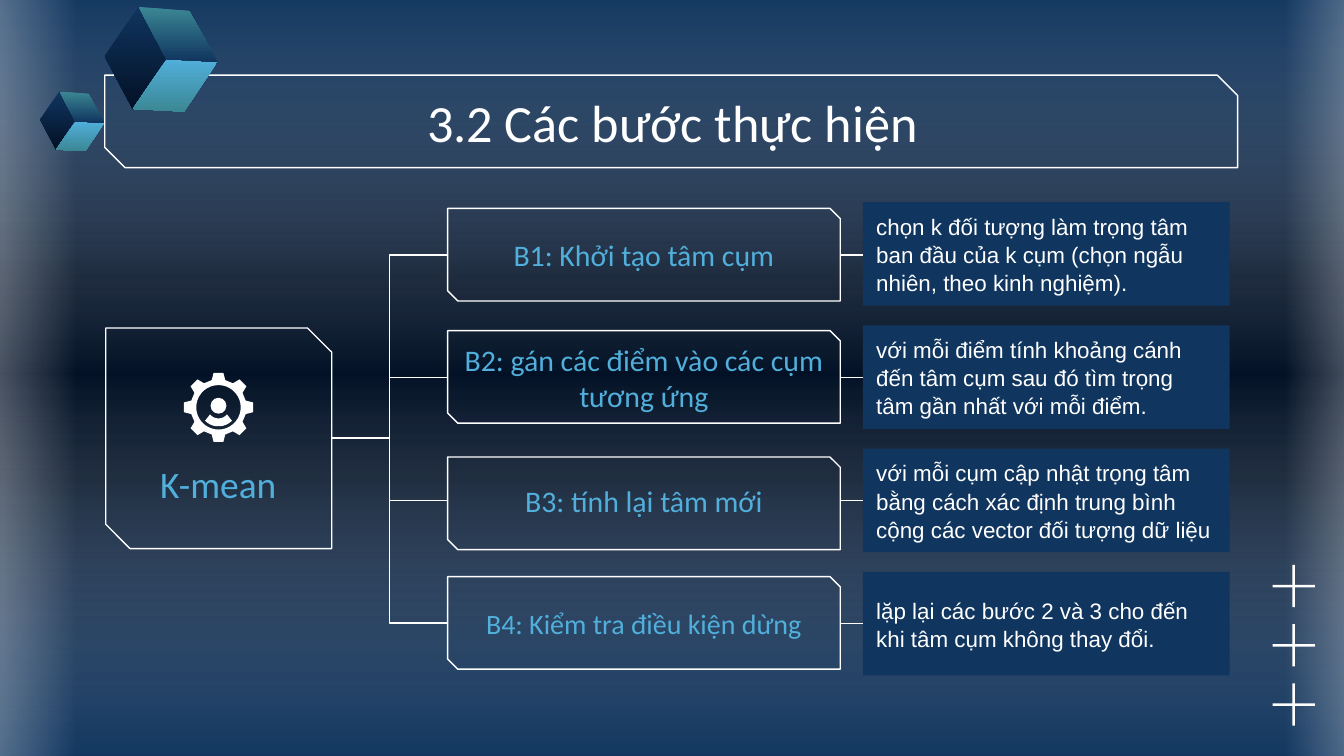
from math import cos, radians, sin

from lxml import etree
from pptx import Presentation
from pptx.dml.color import RGBColor
from pptx.enum.shapes import MSO_CONNECTOR, MSO_SHAPE
from pptx.enum.text import MSO_ANCHOR, MSO_AUTO_SIZE, PP_ALIGN
from pptx.oxml import parse_xml
from pptx.oxml.ns import nsdecls, qn
from pptx.util import Cm, Pt

NAVY, NIGHT, SKY, TEAL, WHITE = "10355F", "031126", "51AFDB", "3B8794", "FFFFFF"


def paint(fill, tint):
    fill.solid()
    fill.fore_color.rgb = RGBColor.from_string(tint)


def fade(fill, root, angle, stops):
    """Give root a linear gradient; stops are (position %, colour, opacity %)."""
    paint(fill, WHITE)
    marks = "".join(
        f'<a:gs pos="{pos * 1000}"><a:srgbClr val="{tint}">'
        f'<a:alpha val="{alpha * 1000}"/></a:srgbClr></a:gs>'
        for pos, tint, alpha in stops)
    old = next(root.iter(qn("a:solidFill")))
    old.getparent().replace(old, parse_xml(
        f'<a:gradFill {nsdecls("a")} rotWithShape="1"><a:gsLst>{marks}</a:gsLst>'
        f'<a:lin ang="{angle * 60000}" scaled="0"/></a:gradFill>'))


prs = Presentation()
prs.slide_width, prs.slide_height = Cm(25.4), Cm(14.29)
slide = prs.slides.add_slide(prs.slide_layouts[5])
shapes = slide.shapes
title = shapes.title

# Background and its soft edges
fade(slide.background.fill, slide._element, 90,
     [(0, NAVY, 100), (37, NIGHT, 100), (63, NIGHT, 100), (100, NAVY, 100)])
veil = [(0, NAVY, 59), (50, WHITE, 0), (100, NAVY, 59)]
glow = [(0, WHITE, 47), (100, WHITE, 0)]
for left, top, width, height, angle, stops in [
        (0, -0.33, 25.93, 14.76, 90, veil),
        (-1.04, -0.23, 2.49, 14.73, 0, glow),
        (24.28, -0.33, 2.16, 14.73, 180, glow)]:
    band = shapes.add_shape(MSO_SHAPE.RECTANGLE, Cm(left), Cm(top), Cm(width), Cm(height))
    band.shadow.inherit = False
    band.line.fill.background()
    fade(band.fill, band._element, angle, stops)

# Frames with two cut corners
steps = [
    ("B1: Khởi tạo tâm cụm", 16, 3.94,
     "chọn k đối tượng làm trọng tâm ban đầu của k cụm (chọn ngẫu nhiên, theo kinh nghiệm)."),
    ("B2: gán các điểm vào các cụm tương ứng", 16, 6.25,
     "với mỗi điểm tính khoảng cánh đến tâm cụm sau đó tìm trọng tâm gần nhất với mỗi điểm."),
    ("B3: tính lại tâm mới", 16, 8.64,
     "với mỗi cụm cập nhật trọng tâm bằng cách xác định trung bình cộng các vector đối tượng dữ liệu"),
    ("B4: Kiểm tra điều kiện dừng", 15, 10.9,
     "lặp lại các bước 2 và 3 cho đến khi tâm cụm không thay đổi."),
]
frames = [(8.46, top, 7.42, 1.75, 0.11) for _, _, top, _ in steps]
frames += [(2, 6.2, 4.27, 4.17, 0.11), (1.98, 1.42, 21.41, 1.75, 0.22)]
for left, top, width, height, cut in frames:
    frame = shapes.add_shape(MSO_SHAPE.SNIP_2_DIAG_RECTANGLE,
                             Cm(left), Cm(top), Cm(width), Cm(height))
    frame.adjustments[0], frame.adjustments[1] = 0, cut
    frame.shadow.inherit = False
    frame.fill.background()
    paint(frame.line.fill, WHITE)
    frame.line.width = Pt(0.75)

# Texts: title, root, then label, detail and lines of each step
shapes._spTree.append(title._element)
title.left, title.top, title.width, title.height = Cm(2), Cm(1.5), Cm(21.41), Cm(1.6)
root = shapes.add_textbox(Cm(2.18), Cm(8.48), Cm(3.89), Cm(1.32))
center, start = PP_ALIGN.CENTER, PP_ALIGN.LEFT
texts = [(title, "3.2 Các bước thực hiện", 28, "Calibri", WHITE, center, 1),
         (root, "K-mean", 20, "Calibri", SKY, center, 1)]
for row, (name, size, _, note) in enumerate(steps):
    label = shapes.add_textbox(Cm(8.46), Cm(4.04 + 2.32 * row), Cm(7.42), Cm(1.55))
    detail = shapes.add_shape(MSO_SHAPE.RECTANGLE, Cm(16.31), Cm(3.82 + 2.33 * row),
                              Cm(6.93), Cm(1.96))
    detail.shadow.inherit = False
    paint(detail.fill, NAVY)
    detail.line.fill.background()
    texts.append((label, name, size, "Calibri", SKY, center, 1))
    texts.append((detail, note, 12, "Arial", WHITE, start, 1.05))

    mid = Cm(4.82 + 2.32 * row)
    for kind, x1, y1, x2 in [(MSO_CONNECTOR.ELBOW, 6.27, Cm(8.28), 8.46),
                             (MSO_CONNECTOR.STRAIGHT, 15.88, mid, 16.31)]:
        link = shapes.add_connector(kind, Cm(x1), y1, Cm(x2), mid)
        paint(link.line.fill, WHITE)
        link.line.width = Pt(0.75)
        etree.SubElement(link._element.spPr, qn("a:effectLst"))

for box, words, size, font, tint, align, space in texts:
    frame = box.text_frame
    frame.text = words
    frame.word_wrap = True
    frame.auto_size = MSO_AUTO_SIZE.NONE
    frame.vertical_anchor = MSO_ANCHOR.MIDDLE
    frame.margin_left = frame.margin_right = Cm(0.25)
    frame.margin_top = frame.margin_bottom = Cm(0.25)
    para = frame.paragraphs[0]
    para.alignment, para.line_spacing = align, space
    run = para.runs[0]
    run.font.size, run.font.name = Pt(size), font
    paint(run.font.fill, tint)

# Gear with a person inside
hub_x, hub_y = 4.13, 7.7
solids = [shapes.add_shape(MSO_SHAPE.OVAL, Cm(3.98), Cm(7.52), Cm(0.3), Cm(0.3))]
teeth = [(45 * k + turn, reach) for k in range(8)
         for turn, reach in [(-14, 0.53), (-8, 0.66), (8, 0.66), (14, 0.53)]]
hole = [(turn, 0.42) for turn in range(360, 0, -10)]
bust = [(turn, 0.36) for turn in range(45, 136, 10)]
bust += [(turn, 0.21) for turn in range(140, 39, -10)]
for rings in [[teeth, hole], [bust]]:
    pen = None
    for ring in rings:
        dots = [(Cm(hub_x + reach * cos(radians(turn))),
                 Cm(hub_y + reach * sin(radians(turn)))) for turn, reach in ring]
        if pen is None:
            pen = shapes.build_freeform(*dots[0])
        else:
            pen.move_to(*dots[0])
        pen.add_line_segments(dots[1:], close=True)
    solids.append(pen.convert_to_shape())

# Plus signs
for row in range(3):
    x, y = 24.45, 11.08 + 1.12 * row
    for width, height in [(0.8, 0.05), (0.05, 0.8)]:
        solids.append(shapes.add_shape(MSO_SHAPE.RECTANGLE, Cm(x - width / 2),
                                       Cm(y - height / 2), Cm(width), Cm(height)))
for solid in solids:
    solid.shadow.inherit = False
    paint(solid.fill, WHITE)
    solid.line.fill.background()

# Cubes
peak, west, base, core = (0.64, 0), (0, 0.94), (0.53, 1.93), (1.17, 0.99)
east, foot, crown = (2.13, 1.04), (1.5, 1.98), (1.6, 0.08)
faces = [([peak, west, base, core], NAVY, NIGHT),
         ([core, east, foot, base], SKY, TEAL),
         ([peak, crown, east, core], TEAL, NAVY)]
for left, top, scale in [(1.98, 0.13, 1), (0.76, 1.73, 0.57)]:
    for edge, first, last in faces:
        dots = [(Cm(left + x * scale), Cm(top + y * scale)) for x, y in edge]
        pen = shapes.build_freeform(*dots[0])
        pen.add_line_segments(dots[1:], close=True)
        face = pen.convert_to_shape()
        face.shadow.inherit = False
        face.line.fill.background()
        fade(face.fill, face._element, 90, [(0, first, 100), (100, last, 100)])

prs.save("out.pptx")
